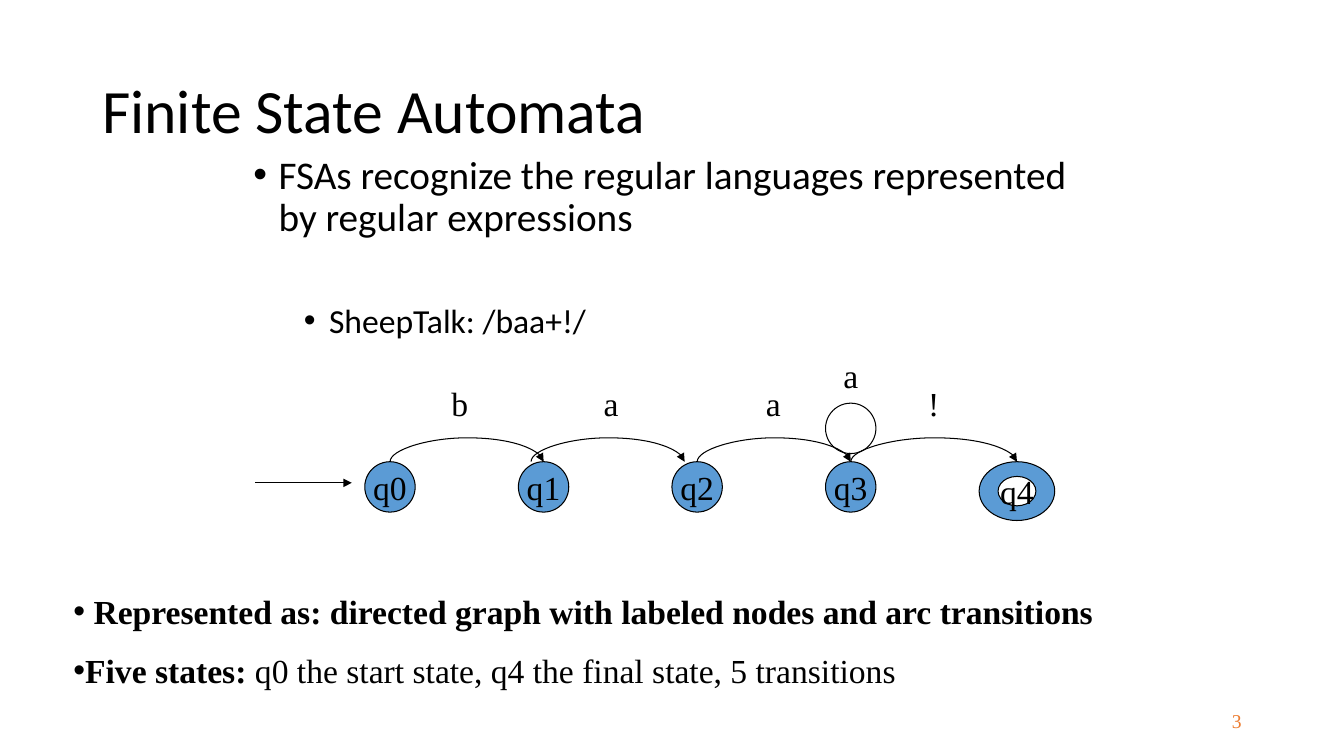
from lxml.etree import SubElement
from pptx import Presentation
from pptx.dml.color import RGBColor
from pptx.enum.shapes import MSO_CONNECTOR as LINK, MSO_SHAPE as SHAPE
from pptx.enum.text import MSO_ANCHOR as ANCHOR, PP_ALIGN as ALIGN
from pptx.oxml.ns import qn
from pptx.util import Pt

COLORS = {"ink": "000000", "paper": "FFFFFF", "state": "5B9BD5", "number": "ED7D31"}
SANS, SERIF = "Calibri", "Times New Roman"
NODE, STEP = 36, 109.7
ARC_RISE, ARC_DROP = 18, 0.12


def color(name):
    """Return the named colour."""
    return RGBColor.from_string(COLORS[name])


def style(para, size, font, ink="ink"):
    """Format every run of a paragraph."""
    for span in para.runs:
        span.font.size = Pt(size)
        span.font.name = font
        span.font.color.rgb = color(ink)


def add_bullet(para, margin=0, hanging=0):
    """Give a paragraph a round bullet and a hanging indent."""
    props = para._p.get_or_add_pPr()
    props.set("marL", str(Pt(margin)))
    props.set("indent", str(-Pt(hanging)))
    SubElement(props, qn("a:buFont")).set("typeface", "Arial")
    SubElement(props, qn("a:buChar")).set("char", "•")


def add_text(shapes, box, text, size, font, ink="ink", anchor=ANCHOR.TOP):
    """Add a wrapping text box and return its text frame."""
    frame = shapes.add_textbox(*map(Pt, box)).text_frame
    frame.word_wrap = True
    frame.vertical_anchor = anchor
    frame.text = text
    for para in frame.paragraphs:
        style(para, size, font, ink)
    return frame


def add_state(shapes, box, fill, text="", kind=SHAPE.FLOWCHART_CONNECTOR):
    """Add one outlined circle, with its label centred."""
    state = shapes.add_shape(kind, *map(Pt, box))
    state.shadow.inherit = False
    state.fill.solid()
    state.fill.fore_color.rgb = color(fill)
    state.line.color.rgb = color("ink")
    state.line.width = Pt(0.75)
    if text:
        frame = state.text_frame
        frame.text = text
        frame.word_wrap = False
        frame.vertical_anchor = ANCHOR.MIDDLE
        frame.paragraphs[0].alignment = ALIGN.CENTER
        style(frame.paragraphs[0], 24, SERIF)


def add_arrow(shapes, kind, ends):
    """Add a thin connector with an arrowhead at its end."""
    arrow = shapes.add_connector(kind, *map(Pt, ends))
    arrow.line.color.rgb = color("ink")
    arrow.line.width = Pt(0.75)
    SubElement(arrow.line._ln, qn("a:tailEnd")).set("type", "triangle")
    SubElement(arrow._element.spPr, qn("a:effectLst"))
    return arrow


def add_arc(shapes, start, end, top):
    """Add a curved arrow that rises between two points at one height."""
    middle, half = (start + end) / 2, (end - start) / 2
    ends = (middle, top + half, middle + ARC_DROP, top - half)
    props = add_arrow(shapes, LINK.CURVE, ends)._element.spPr
    props.find(qn("a:xfrm")).set("rot", "5400000")
    guides = props.find(qn("a:prstGeom")).find(qn("a:avLst"))
    guide = SubElement(guides, qn("a:gd"))
    guide.set("name", "adj1")
    guide.set("fmla", f"val {round(-ARC_RISE / ARC_DROP * 100000)}")


def add_automaton(page, left, top):
    """Draw the state graph, its first state at the given corner."""
    shapes = page.shapes.add_group_shape().shapes
    for index in range(4):
        add_state(shapes, (left + index * STEP, top, NODE, NODE), "state", f"q{index}")
    final = left + 4 * STEP
    add_state(shapes, (final, top, 54, 42), "state", kind=SHAPE.OVAL)
    add_state(shapes, (final + 13.5, top + 10.5, 27, 21), "paper", "q4", SHAPE.OVAL)
    add_state(shapes, (left + 3 * STEP, top - 41.8, NODE, NODE), "paper")

    centers = [left + index * STEP + NODE / 2 for index in range(4)]
    arcs = [(centers[0], centers[1]), (centers[1] - 9, centers[2] - 9),
            (centers[2], centers[3]), (centers[3], final + 27)]
    for start, end in arcs:
        add_arc(shapes, start, end, top)

    labels = [("b", 54.8, 59.8), ("a", 163.5, 59.8), ("a", 279.4, 59.8),
              ("!", 395.3, 59.8), ("a", 334.8, 80)]
    for text, offset, rise in labels:
        add_text(shapes, (left + offset, top - rise, 40, 36), text, 24, SERIF)
    add_arrow(page.shapes, LINK.STRAIGHT,
              (left - 78.4, top + 15.1, left - 9.3, top + 15.1))


def add_heading(page, box):
    """Add the slide title."""
    frame = add_text(page.shapes, box, "Finite State Automata", 44, SANS,
                     anchor=ANCHOR.MIDDLE)
    frame.paragraphs[0].line_spacing = 0.9


def add_body(page, box):
    """Add the main point and its indented example."""
    text = ("FSAs recognize the regular languages represented by regular expressions\n"
            "SheepTalk: /baa+!/")
    point, example = add_text(page.shapes, box, text, 28, SANS).paragraphs
    point.line_spacing = example.line_spacing = 0.9
    example.level = 1
    example.space_before = Pt(46)
    style(example, 24, SANS)
    add_bullet(point, 18, 18)
    add_bullet(example, 54, 18)


def add_summary(page, box):
    """Add the two bulleted remarks below the graph."""
    text = (" Represented as: directed graph with labeled nodes and arc transitions\n"
            "Five states: ")
    graph, states = add_text(page.shapes, box, text, 24, SERIF).paragraphs
    graph.runs[0].font.bold = states.runs[0].font.bold = True
    states.add_run().text = "q0 the start state, q4 the final state, 5 transitions"
    style(states, 24, SERIF)
    states.space_before = Pt(13.8)
    add_bullet(graph)
    add_bullet(states)


def add_page_number(page, box):
    """Add the page number at the right."""
    frame = add_text(page.shapes, box, "3", 14, SERIF, "number", ANCHOR.MIDDLE)
    frame.paragraphs[0].alignment = ALIGN.RIGHT


def main():
    """Build the slide and save it."""
    deck = Presentation()
    deck.slide_width, deck.slide_height = Pt(960), Pt(540)
    page = deck.slides.add_slide(deck.slide_layouts[6])
    add_heading(page, (66, 28.8, 828, 104.4))
    add_body(page, (174, 107.3, 612, 369.4))
    add_page_number(page, (678, 500.4, 216, 28.8))
    add_automaton(page, 260.6, 329.8)
    add_summary(page, (45.4, 418.3, 777.6, 80))
    deck.save("out.pptx")


if __name__ == "__main__":
    main()
